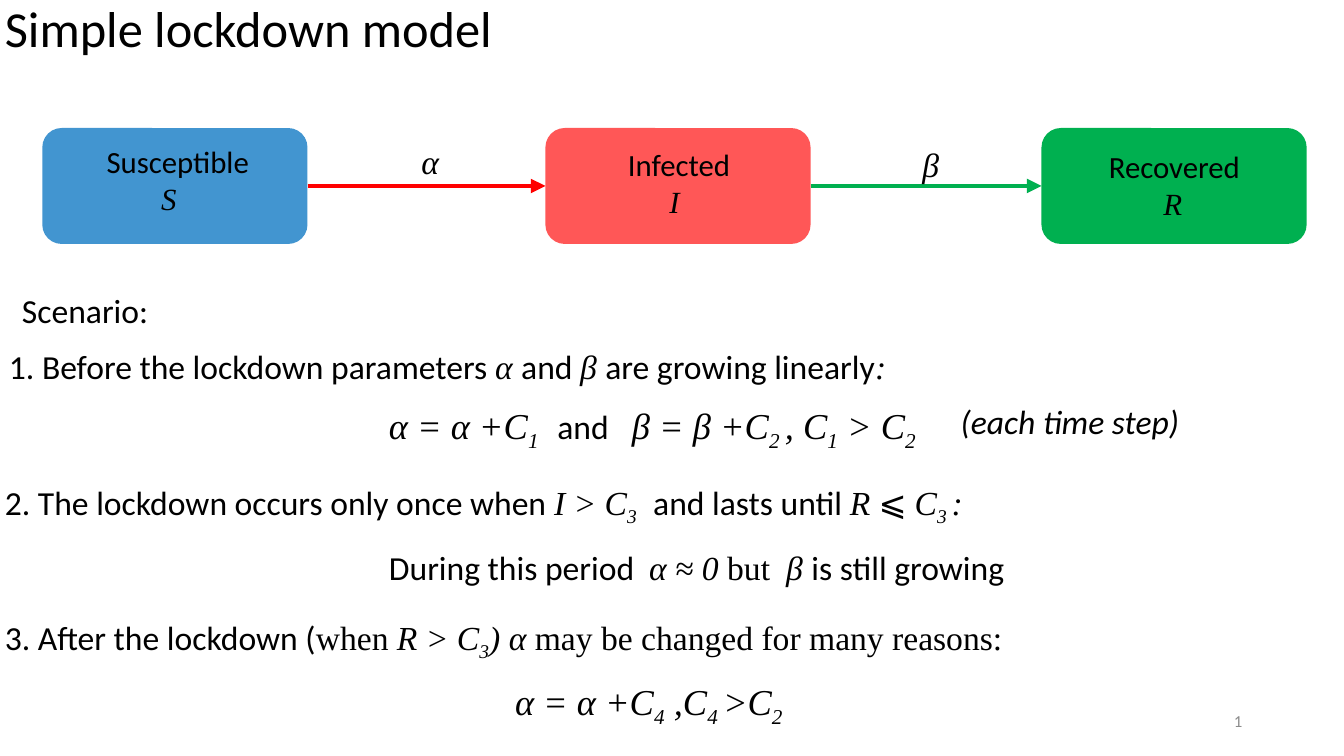
from lxml import etree
from pptx import Presentation
from pptx.dml.color import RGBColor
from pptx.enum.shapes import MSO_CONNECTOR, MSO_SHAPE
from pptx.enum.text import PP_ALIGN
from pptx.oxml.ns import qn
from pptx.util import Inches, Pt

STRAIGHT = MSO_CONNECTOR.STRAIGHT
ROUNDED = MSO_SHAPE.ROUNDED_RECTANGLE
LEFT, RIGHT = PP_ALIGN.LEFT, PP_ALIGN.RIGHT

THEME = {
    "sans": "Calibri", "serif": "Times New Roman",
    "text": "000000", "number": "8C8C8C",
    "blue": "4295D0", "pink": "FF5757", "red": "FF0000", "green": "00B050",
    "title_size": 36, "equation_size": 26, "body_size": 24,
    "state_size": 22, "number_size": 12, "arrow_width": 3.5,
}
TITLE, EQUATION, BODY = THEME["title_size"], THEME["equation_size"], THEME["body_size"]

# Span styles: font, italic, baseline
STYLES = {
    "plain": (THEME["sans"], False, 0),
    "slanted": (THEME["sans"], True, 0),
    "serif": (THEME["serif"], False, 0),
    "math": (THEME["serif"], True, 0),
    "sub": (THEME["serif"], True, -25000),
}


def add_text(place, paragraphs, size, color="text", wrap=True, align=LEFT, tabs=(), indent=0):
    """Add a text box; paragraphs hold (text, style[, size]) spans, indent moves the later ones."""
    box = slide.shapes.add_textbox(*[Inches(length) for length in place])
    frame = box.text_frame
    frame.word_wrap = wrap
    for number, spans in enumerate(paragraphs):
        para = frame.add_paragraph() if number else frame.paragraphs[0]
        para.alignment = align
        properties = para._p.get_or_add_pPr()
        if number:
            properties.set("marL", str(Inches(indent)))
        if tabs:
            stops = etree.SubElement(properties, qn("a:tabLst"))
            for stop in tabs:
                etree.SubElement(stops, qn("a:tab"), pos=str(Inches(stop)), algn="l")
        for text, style, *own_size in spans:
            span = para.add_run()
            span.text = text
            font = span.font
            font.name, font.italic, baseline = STYLES[style]
            font.size = Pt(own_size[0] if own_size else size)
            font.color.rgb = RGBColor.from_string(THEME[color])
            if baseline:
                font._element.set("baseline", str(baseline))


deck = Presentation()
deck.slide_width, deck.slide_height = Inches(13.33), Inches(7.5)
slide = deck.slides.add_slide(deck.slide_layouts[6])

# Title and slide number
add_text((-0.05, -0.08, 9.1, 0.71), [[("Simple lockdown model", "plain")]], TITLE)
add_text((9.42, 7, 3, 0.3), [[("1", "plain")]], THEME["number_size"], "number", align=RIGHT)

# States: box left, fill, name, symbol, label place, symbol indent
states = [
    (0.42, "blue", "Susceptible", "S", (0.96, 1.37, 1.63, 0.84), 0.54),
    (5.41, "pink", "Infected", "I", (6.13, 1.4, 1.23, 0.84), 0.41),
    (10.33, "green", "Recovered", "R", (10.9, 1.42, 1.52, 0.84), 0.54),
]
state_boxes = []
for left, fill, name, symbol, label_place, indent in states:
    state = slide.shapes.add_shape(ROUNDED, Inches(left), Inches(1.27), Inches(2.63), Inches(1.15))
    state.shadow.inherit = False
    state.fill.solid()
    state.fill.fore_color.rgb = RGBColor.from_string(THEME[fill])
    state.line.fill.background()
    state_boxes.append(state)
    add_text(label_place, [[(name, "plain")], [(symbol, "math")]],
             THEME["state_size"], wrap=False, indent=indent)

# Transitions between neighbouring states
transitions = [("red", "α", (4.08, 1.35, 0.38, 0.5)), ("green", "β", (9.05, 1.38, 0.38, 0.5))]
for source, target, (color, rate, rate_place) in zip(state_boxes, state_boxes[1:], transitions):
    arrow = slide.shapes.add_connector(STRAIGHT, 0, 0, 0, 0)
    arrow.begin_connect(source, 3)
    arrow.end_connect(target, 1)
    arrow.line.color.rgb = RGBColor.from_string(THEME[color])
    arrow.line.width = Pt(THEME["arrow_width"])
    etree.SubElement(arrow.line._get_or_add_ln(), qn("a:tailEnd"), type="triangle")
    etree.SubElement(arrow._element.spPr, qn("a:effectLst"))
    add_text(rate_place, [[(rate, "math")]], BODY, wrap=False)

# Scenario heading and side remark
add_text((0.12, 2.83, 1.47, 0.5), [[("Scenario:", "plain")]], BODY, wrap=False)
add_text((9.43, 3.93, 2.43, 0.5), [[("(each time step)", "slanted")]], BODY, wrap=False)

# Scenario lines: left, top, width, size, tab stops, spans
scenario = [
    (-0.01, 3.38, 13.15, BODY, (), [
        ("1. Before the lockdown parameters ", "plain"), ("α ", "math"), ("and ", "plain"),
        ("β ", "math"), ("are growing linearly", "plain"), (":", "math")]),
    (3.76, 3.95, 9.5, EQUATION, (1.67, 2.41), [
        ("α = α +C", "math"), ("1", "sub"), ("\tand\t", "plain", BODY), ("β = β +C", "math"),
        ("2 ", "sub"), (", C", "math"), ("1", "sub"), (" > C", "math"), ("2", "sub")]),
    (-0.05, 4.73, 13.15, BODY, (6.43,), [
        ("2. The lockdown occurs only once when ", "plain"), ("I > C", "math"), ("3", "sub"),
        ("\tand lasts until ", "plain"), ("R ", "math"), ("⩽ ", "slanted"), ("C", "math"),
        ("3 ", "sub"), (":", "math")]),
    (3.76, 5.38, 9.5, BODY, (2.58, 3.94), [
        ("During this period\t", "plain"), ("α ≈ 0 ", "math"), ("but\t", "serif"),
        ("β ", "math"), ("is still growing", "plain")]),
    (-0.05, 6.07, 13.15, BODY, (), [
        ("3. After the lockdown (", "plain"), ("when ", "serif"), ("R > C", "math"),
        ("3", "sub"), (") α ", "math"), ("may be changed for many reasons:", "serif")]),
    (5.01, 6.69, 3.02, EQUATION, (), [
        ("α = α +C", "math"), ("4", "sub"), (" ,C", "math"), ("4 ", "sub"),
        (">C", "math"), ("2", "sub")]),
]
for left, top, width, size, tabs, spans in scenario:
    height = 0.54 if size == EQUATION else 0.5
    add_text((left, top, width, height), [spans], size, tabs=tabs)

deck.save("out.pptx")
